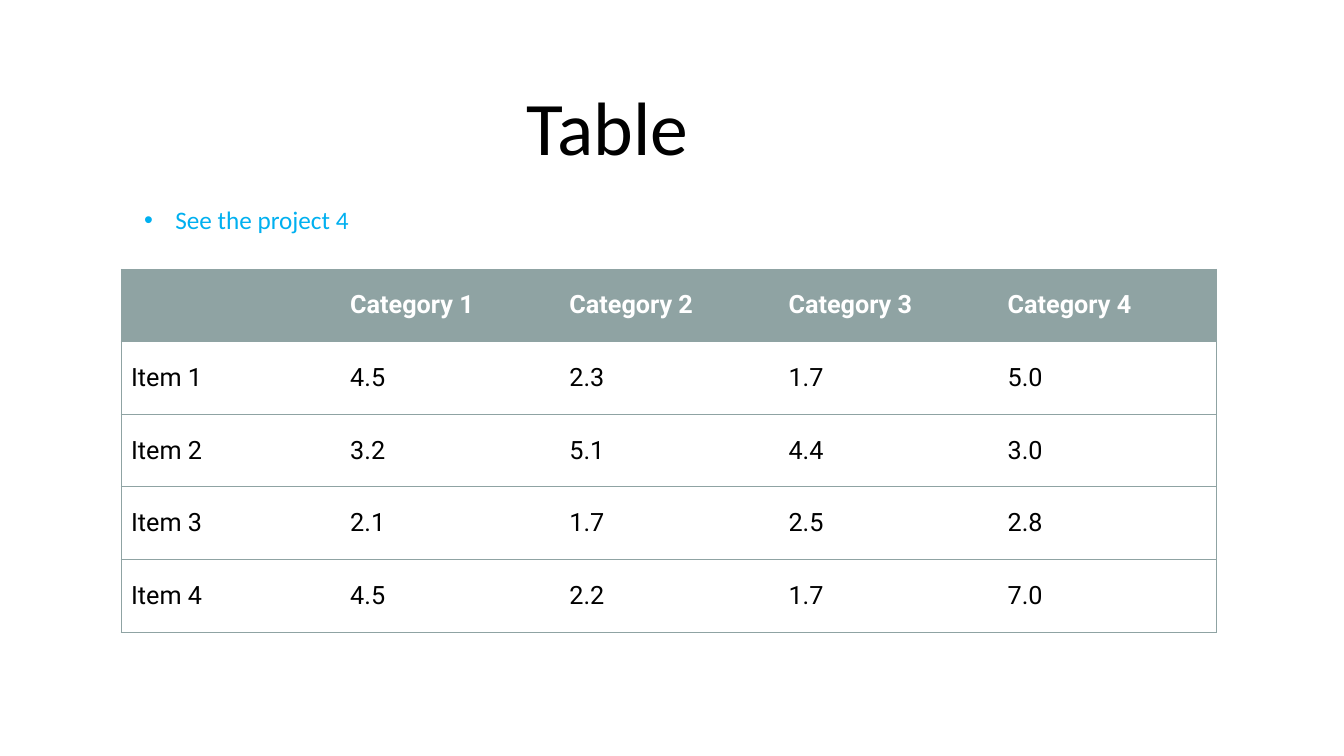
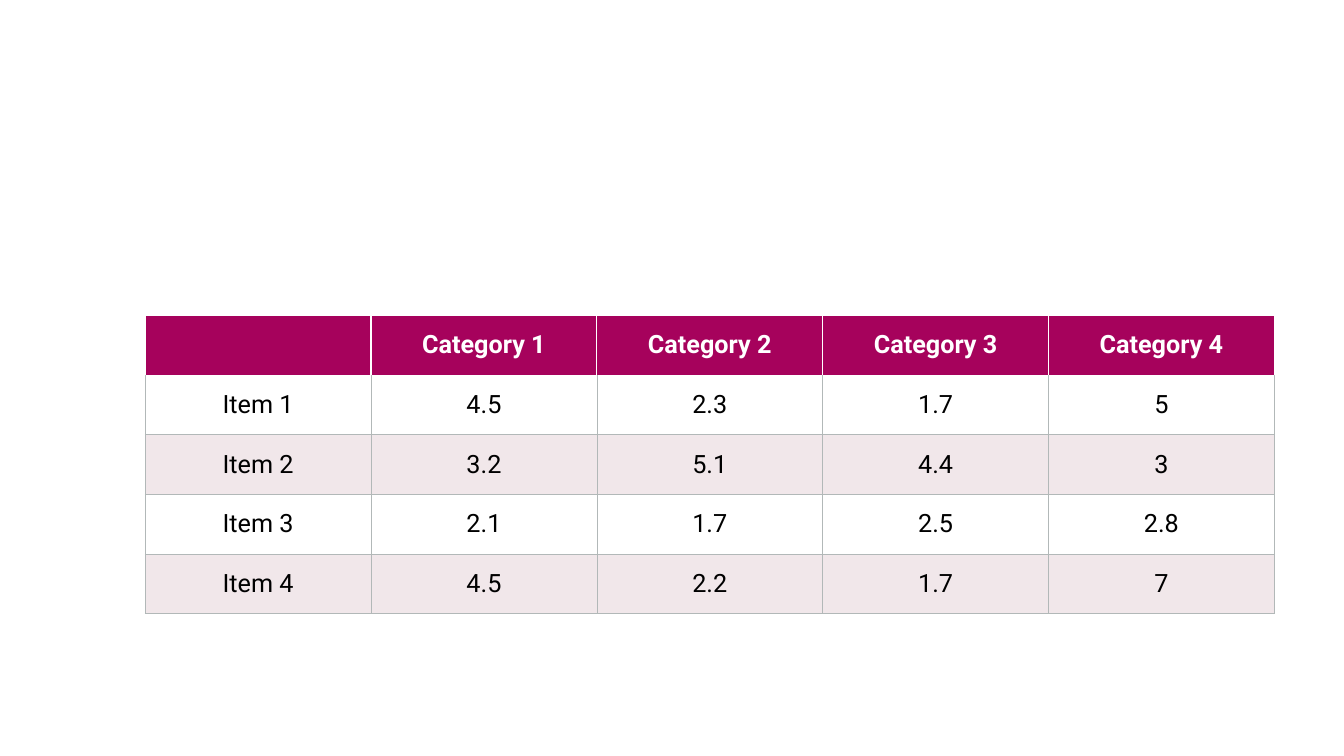
from dataclasses import dataclass
from typing import Optional

from lxml.etree import SubElement
from pptx import Presentation
from pptx.dml.color import RGBColor
from pptx.enum.text import MSO_ANCHOR as Anchor, MSO_AUTO_SIZE as AutoSize, PP_ALIGN as Align
from pptx.oxml.ns import qn
from pptx.util import Inches, Pt

WHITE = RGBColor(0xFF, 0xFF, 0xFF)
BLACK = RGBColor(0x00, 0x00, 0x00)
BLUE = RGBColor(0x00, 0xB0, 0xF0)
SAGE = RGBColor(0x8F, 0xA3, 0xA3)
GREY = RGBColor(0xB2, 0xB8, 0xB8)
PLUM = RGBColor(0xA6, 0x02, 0x5C)
BLUSH = RGBColor(0xF1, 0xE7, 0xEA)

TEXT_FONT = "Calibri"
TABLE_FONT = "Roboto"
LAYOUT_CONTENT, LAYOUT_BLANK = 1, 6

HEADERS = ["", "Category 1", "Category 2", "Category 3", "Category 4"]
ITEMS = {
    "Item 1": [4.5, 2.3, 1.7, 5],
    "Item 2": [3.2, 5.1, 4.4, 3],
    "Item 3": [2.1, 1.7, 2.5, 2.8],
    "Item 4": [4.5, 2.2, 1.7, 7],
}


@dataclass(frozen=True)
class Box:
    left: float
    top: float
    width: float
    height: float

    def lengths(self) -> list:
        return [Inches(v) for v in (self.left, self.top, self.width, self.height)]


@dataclass(frozen=True)
class Edge:
    color: RGBColor
    width: float


@dataclass(frozen=True)
class TableLook:
    header_fill: RGBColor
    band_fill: Optional[RGBColor]
    header_edge: Edge
    header_rule: Optional[Edge]
    body_edge: Edge
    inner_columns: bool
    align: Align
    number_format: str


SAGE_EDGE = Edge(SAGE, 0.5)
RULED = TableLook(SAGE, None, SAGE_EDGE, SAGE_EDGE, SAGE_EDGE, False, Align.LEFT, ".1f")
BANDED = TableLook(PLUM, BLUSH, Edge(WHITE, 1), None, Edge(GREY, 0.5), True, Align.CENTER, "g")


def add_run(p, text: str, font: str, size: float, color: RGBColor, bold: bool = False) -> None:
    r = p.add_run()
    r.text = text
    r.font.name = font
    r.font.size = Pt(size)
    r.font.bold = bold
    r.font.color.rgb = color


def fill_placeholder(sp, box: Box, text: str, size: float, color: RGBColor, align: Align):
    sp.left, sp.top, sp.width, sp.height = box.lengths()
    tf = sp.text_frame
    tf.word_wrap = True
    tf.auto_size = AutoSize.SHAPE_TO_FIT_TEXT
    tf.vertical_anchor = Anchor.TOP
    p = tf.paragraphs[0]
    p.alignment = align
    p.space_before = Pt(0)
    add_run(p, text, TEXT_FONT, size, color)
    return p


def set_indent(p, indent: float) -> None:
    pPr = p._p.get_or_add_pPr()
    pPr.set("marL", str(Inches(indent)))
    pPr.set("indent", str(-Inches(indent)))


def set_border(cell, side: str, edge: Optional[Edge]) -> None:
    ln = SubElement(cell._tc.get_or_add_tcPr(), qn(f"a:ln{side}"))
    if edge is None:
        ln.set("w", "0")
        SubElement(ln, qn("a:noFill"))
        return
    ln.set("w", str(Pt(edge.width)))
    solid = SubElement(ln, qn("a:solidFill"))
    SubElement(solid, qn("a:srgbClr")).set("val", str(edge.color))


def style_cell(cell, row: int, col: int, look: TableLook) -> None:
    edge = look.body_edge if row else look.header_edge
    sides = {
        "L": edge if look.inner_columns or col == 0 else None,
        "R": edge if look.inner_columns or col == len(HEADERS) - 1 else None,
        "T": look.header_rule if row == 1 else edge,
        "B": edge if row else look.header_rule,
    }
    for side, border in sides.items():
        set_border(cell, side, border)
    fill = look.header_fill if row == 0 else look.band_fill if row % 2 == 0 else None
    if fill is None:
        cell.fill.background()
    else:
        cell.fill.solid()
        cell.fill.fore_color.rgb = fill
    cell.vertical_anchor = Anchor.MIDDLE


def add_item_table(s, box: Box, look: TableLook) -> None:
    rows = [HEADERS] + [
        [name] + [format(v, look.number_format) for v in values]
        for name, values in ITEMS.items()
    ]
    table = s.shapes.add_table(len(rows), len(HEADERS), *box.lengths()).table
    for i, texts in enumerate(rows):
        for j, text in enumerate(texts):
            cell = table.cell(i, j)
            style_cell(cell, i, j, look)
            if text:
                p = cell.text_frame.paragraphs[0]
                p.alignment = look.align
                add_run(p, text, TABLE_FONT, 18, BLACK if i else WHITE, bold=i == 0)


def build_ruled_slide(prs) -> None:
    s = prs.slides.add_slide(prs.slide_layouts[LAYOUT_CONTENT])
    title, body = s.placeholders
    fill_placeholder(title, Box(2.12, 0.74, 7.81, 1.01), "Table", 54, BLACK, Align.CENTER)
    p = fill_placeholder(body, Box(1.33, 1.98, 7.36, 0.71), "See the project 4", 18, BLUE, Align.LEFT)
    set_indent(p, 0.31)
    add_item_table(s, Box(1.2, 2.67, 10.87, 3.6), RULED)


def build_banded_slide(prs) -> None:
    s = prs.slides.add_slide(prs.slide_layouts[LAYOUT_BLANK])
    add_item_table(s, Box(1.44, 3.13, 11.2, 2.96), BANDED)


prs = Presentation()
prs.slide_width, prs.slide_height = Inches(13.33), Inches(7.5)
build_ruled_slide(prs)
build_banded_slide(prs)
prs.save("out.pptx")
